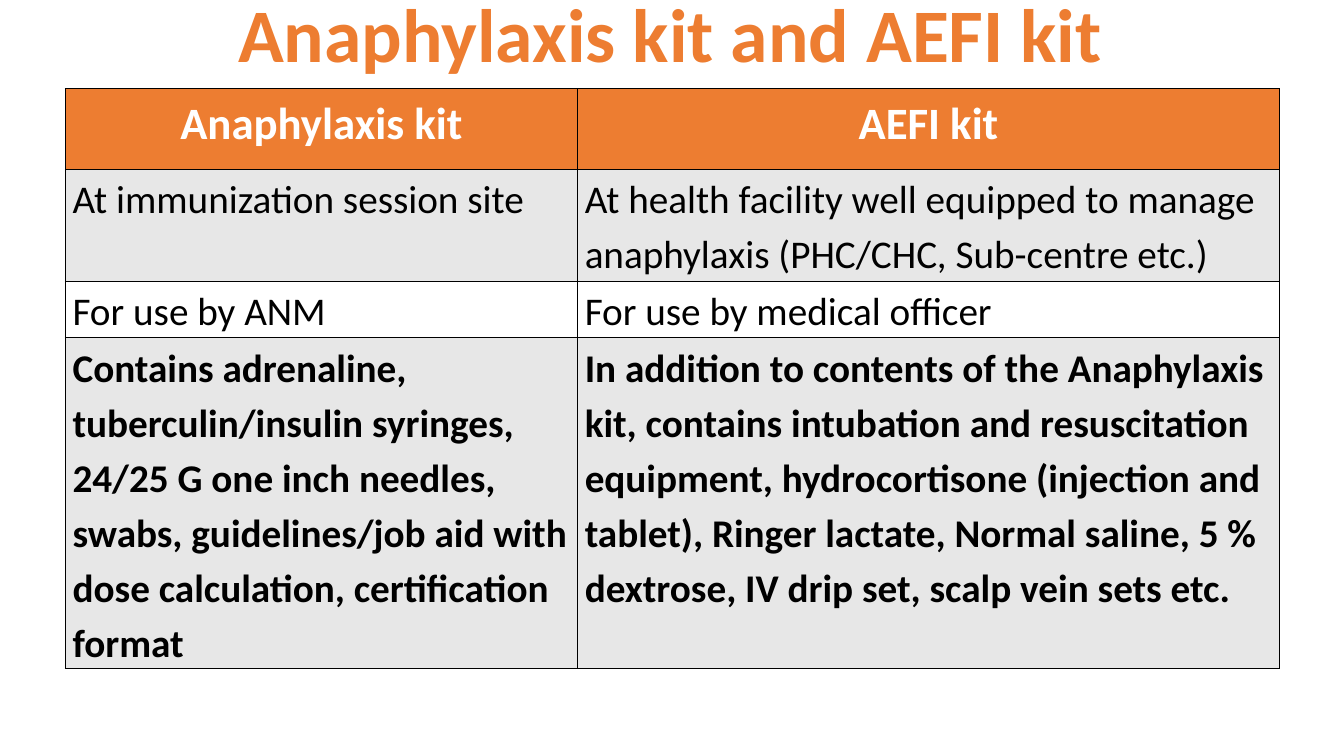
from dataclasses import dataclass

from lxml.etree import SubElement
from pptx import Presentation
from pptx.dml.color import RGBColor
from pptx.enum.text import MSO_ANCHOR, MSO_AUTO_SIZE, PP_ALIGN
from pptx.oxml.ns import qn
from pptx.slide import Slide
from pptx.table import _Cell
from pptx.text.text import _Paragraph
from pptx.util import Inches, Pt

ORANGE = RGBColor(0xED, 0x7D, 0x31)
GREY = RGBColor(0xE7, 0xE7, 0xE7)
WHITE = RGBColor(0xFF, 0xFF, 0xFF)
BLACK = RGBColor(0x00, 0x00, 0x00)
FONT = "Calibri"
COLUMN_WIDTHS = (5.08, 6.96)


@dataclass(frozen=True)
class KitRow:
    height: float
    fill: RGBColor
    anaphylaxis: str
    aefi: str
    size: int = 28
    color: RGBColor = BLACK
    bold: bool = False
    alignment: PP_ALIGN = PP_ALIGN.LEFT


KIT_ROWS = [
    KitRow(0.8, ORANGE, "Anaphylaxis kit", "AEFI kit", 32, WHITE, True, PP_ALIGN.CENTER),
    KitRow(
        1.11,
        GREY,
        "At immunization session site",
        "At health facility well equipped to manage anaphylaxis (PHC/CHC, Sub-centre etc.)",
    ),
    KitRow(0.56, WHITE, "For use by ANM", "For use by medical officer"),
    KitRow(
        3.28,
        GREY,
        "Contains adrenaline, tuberculin/insulin syringes, 24/25 G one inch needles, "
        "swabs, guidelines/job aid with dose calculation, certification format",
        "In addition to contents of the Anaphylaxis kit, contains intubation and "
        "resuscitation equipment, hydrocortisone (injection and tablet), Ringer lactate, "
        "Normal saline, 5 % dextrose, IV drip set, scalp vein sets etc.",
        bold=True,
    ),
]


def format_paragraph(
    paragraph: _Paragraph,
    size: int,
    color: RGBColor,
    bold: bool,
    alignment: PP_ALIGN,
    line_spacing: float,
) -> None:
    paragraph.alignment = alignment
    paragraph.line_spacing = line_spacing
    for run in paragraph.runs:
        run.font.name = FONT
        run.font.size = Pt(size)
        run.font.bold = bold
        run.font.color.rgb = color


def add_borders(cell: _Cell) -> None:
    properties = cell._tc.get_or_add_tcPr()
    for side in ("a:lnL", "a:lnR", "a:lnT", "a:lnB"):
        line = SubElement(properties, qn(side), w=str(Pt(1)))
        solid_fill = SubElement(line, qn("a:solidFill"))
        SubElement(solid_fill, qn("a:srgbClr"), val=str(BLACK))


def fill_cell(cell: _Cell, text: str, row: KitRow) -> None:
    add_borders(cell)
    cell.fill.solid()
    cell.fill.fore_color.rgb = row.fill
    cell.margin_left = cell.margin_right = Inches(0.07)
    cell.margin_top = cell.margin_bottom = Inches(0)
    cell.text_frame.text = text
    format_paragraph(
        cell.text_frame.paragraphs[0], row.size, row.color, row.bold, row.alignment, 1.15
    )


def set_title(slide: Slide) -> None:
    title = slide.shapes.title
    title.left, title.top = Inches(0.65), Inches(0.09)
    title.width, title.height = Inches(12), Inches(0.57)
    text_frame = title.text_frame
    text_frame.text = "Anaphylaxis kit and AEFI kit"
    text_frame.auto_size = MSO_AUTO_SIZE.NONE
    text_frame.vertical_anchor = MSO_ANCHOR.MIDDLE
    format_paragraph(text_frame.paragraphs[0], 54, ORANGE, True, PP_ALIGN.CENTER, 0.9)


def add_kit_table(slide: Slide) -> None:
    height = sum(row.height for row in KIT_ROWS)
    table = slide.shapes.add_table(
        len(KIT_ROWS),
        len(COLUMN_WIDTHS),
        Inches(0.65),
        Inches(0.88),
        Inches(sum(COLUMN_WIDTHS)),
        Inches(height),
    ).table
    table.horz_banding = False
    for column, width in zip(table.columns, COLUMN_WIDTHS):
        column.width = Inches(width)
    for table_row, row in zip(table.rows, KIT_ROWS):
        table_row.height = Inches(row.height)
        for cell, text in zip(table_row.cells, (row.anaphylaxis, row.aefi)):
            fill_cell(cell, text, row)


def main() -> None:
    presentation = Presentation()
    presentation.slide_width = Inches(13.33)
    presentation.slide_height = Inches(7.5)
    slide = presentation.slides.add_slide(presentation.slide_layouts[5])
    set_title(slide)
    add_kit_table(slide)
    presentation.save("out.pptx")


if __name__ == "__main__":
    main()
